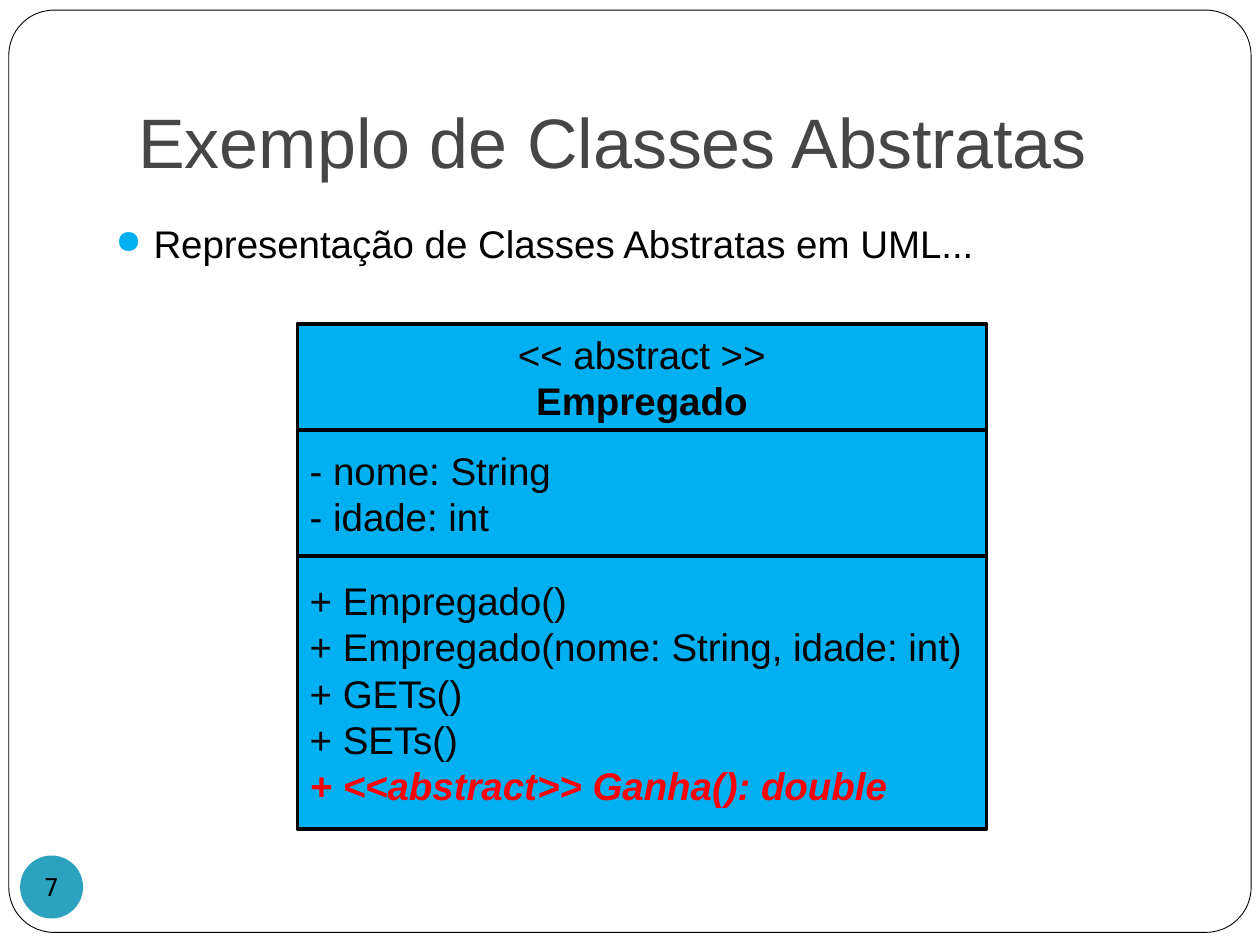
import pptx
import pptx.util
import pptx.dml.color
import pptx.enum.shapes
import pptx.enum.text
import pptx.oxml
import pptx.oxml.ns
from lxml import etree

RGBColor = pptx.dml.color.RGBColor
Inches = pptx.util.Inches
Pt = pptx.util.Pt
SHAPE = pptx.enum.shapes.MSO_SHAPE
ANCHOR = pptx.enum.text.MSO_ANCHOR
ALIGN = pptx.enum.text.PP_ALIGN

BLACK = RGBColor(0x00, 0x00, 0x00)
WHITE = RGBColor(0xFF, 0xFF, 0xFF)
GREY = RGBColor(0x46, 0x46, 0x46)
SKY = RGBColor(0x00, 0xB0, 0xF0)
TEAL = RGBColor(0x2D, 0xA2, 0xBF)
RED = RGBColor(0xFF, 0x00, 0x00)

WIDTH, HEIGHT = 10, 7.5


def add_box(shapes, kind, box, fill, line_width=None):
    """Add a flat preset shape, outlined in black if a width is given."""
    shape = shapes.add_shape(kind, *map(Inches, box))
    shape.shadow.inherit = False
    shape.fill.solid()
    shape.fill.fore_color.rgb = fill
    if line_width:
        shape.line.color.rgb = BLACK
        shape.line.width = Pt(line_width)
    else:
        shape.line.fill.background()
    return shape


def write(shape, lines, size, color=BLACK, align=ALIGN.LEFT,
          anchor=ANCHOR.MIDDLE, font="Arial"):
    """Write one paragraph per line and return the paragraphs."""
    frame = shape.text_frame
    frame.word_wrap = True
    frame.vertical_anchor = anchor
    frame.text = "\n".join(lines)
    for para in frame.paragraphs:
        para.alignment = align
        for span in para.runs:
            span.font.name = font
            span.font.size = Pt(size)
            span.font.color.rgb = color
    return frame.paragraphs


def add_bullet(para, indent, color, percent):
    """Give a paragraph a hanging round bullet."""
    props = para._p.get_or_add_pPr()
    props.set("marL", str(Inches(indent)))
    props.set("indent", str(-Inches(indent)))
    qn = pptx.oxml.ns.qn
    bullet_color = etree.SubElement(props, qn("a:buClr"))
    etree.SubElement(bullet_color, qn("a:srgbClr"), val=str(color))
    etree.SubElement(props, qn("a:buSzPct"), val=str(percent * 1000))
    etree.SubElement(props, qn("a:buChar"), char="●")


def add_frame(page, box):
    frame = add_box(page.shapes, SHAPE.ROUNDED_RECTANGLE, box, WHITE, 0.5)
    frame.adjustments[0] = 0.049


def add_title(page, box, text):
    title = page.shapes.add_textbox(*map(Inches, box))
    write(title, [text], 40, GREY, anchor=ANCHOR.BOTTOM)
    title.text_frame.margin_bottom = Inches(0.1)


def add_body(page, box, text):
    body = page.shapes.add_textbox(*map(Inches, box))
    para = write(body, [text], 22, anchor=ANCHOR.TOP)[0]
    para.space_before = Pt(5.8)
    add_bullet(para, 0.3, SKY, 85)


def add_class_diagram(page, box, sections):
    """Stack the sections of a UML class; each has a share of the height."""
    left, top, width, height = box
    group = page.shapes.add_group_shape()
    paragraphs = []
    for share, align, lines in sections:
        part_height = height * share
        part = add_box(group.shapes, SHAPE.RECTANGLE,
                       (left, top, width, part_height), SKY, 2)
        paragraphs.append(write(part, lines, 22, align=align))
        top += part_height

    # Class name in bold, abstract method in red bold italics
    name = paragraphs[0][-1].runs[0].font
    name.bold = True
    method = paragraphs[-1][-1].runs[0].font
    method.bold = method.italic = True
    method.color.rgb = RED


def add_page_number(page, box, number):
    badge = add_box(page.shapes, SHAPE.OVAL, box, TEAL)
    write(badge, [number], 14, align=ALIGN.CENTER, font="DejaVu Sans Mono")
    frame = badge.text_frame
    frame.word_wrap = False
    frame.margin_left = frame.margin_right = 0
    frame.margin_top = frame.margin_bottom = 0


def main():
    deck = pptx.Presentation()
    deck.slide_width, deck.slide_height = Inches(WIDTH), Inches(HEIGHT)
    page = deck.slides.add_slide(deck.slide_layouts[6])

    add_frame(page, (0.07, 0.08, WIDTH - 0.14, HEIGHT - 0.18))
    add_body(page, (0.82, 1.7, 8.59, 5.51),
             "Representação de Classes Abstratas em UML...")
    add_title(page, (1, 0.3, 8.5, 1.25), "Exemplo de Classes Abstratas")
    add_class_diagram(page, (2.36, 2.57, 5.47, 4.01), [
        (0.21, ALIGN.CENTER, ["<< abstract >>", "Empregado"]),
        (0.25, ALIGN.LEFT, ["- nome: String", "- idade: int"]),
        (0.54, ALIGN.LEFT, ["+ Empregado()",
                            "+ Empregado(nome: String, idade: int)",
                            "+ GETs()",
                            "+ SETs()",
                            "+ <<abstract>> Ganha(): double"]),
    ])
    add_page_number(page, (0.16, 6.79, 0.5, 0.5), "7")
    deck.save("out.pptx")


if __name__ == "__main__":
    main()
